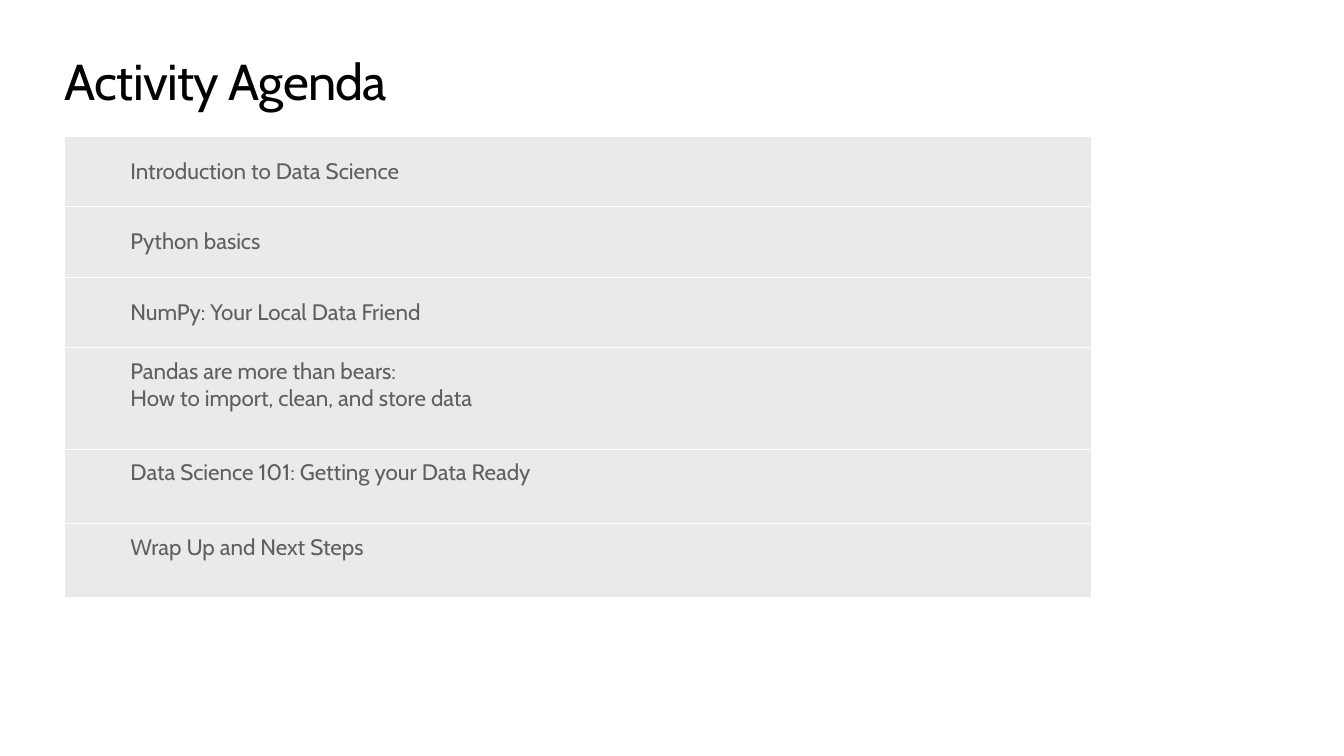
from lxml.etree import SubElement
from pptx import Presentation
from pptx.dml.color import RGBColor
from pptx.enum.text import MSO_ANCHOR
from pptx.oxml.ns import qn
from pptx.util import Pt

FONT = "Cabin"
BLACK = RGBColor(0x00, 0x00, 0x00)
TEXT_GRAY = RGBColor(0x5F, 0x5F, 0x5F)
ROW_GRAY = RGBColor(0xEA, 0xEA, 0xEA)
WHITE = RGBColor(0xFF, 0xFF, 0xFF)

MIDDLE, TOP = MSO_ANCHOR.MIDDLE, MSO_ANCHOR.TOP
# Lines of text, row height in points, vertical anchor
AGENDA = [
    (["Introduction to Data Science"], 50.4, MIDDLE),
    (["Python basics"], 50.4, MIDDLE),
    (["NumPy: Your Local Data Friend"], 50.4, MIDDLE),
    (["Pandas are more than bears:",
      "How to import, clean, and store data"], 72.6, TOP),
    (["Data Science 101: Getting your Data Ready"], 53, TOP),
    (["Wrap Up and Next Steps"], 53, TOP),
]


def add_run(paragraph, text, size, color):
    run = paragraph.add_run()
    run.text = text
    run.font.name = FONT
    run.font.size = Pt(size)
    run.font.color.rgb = color
    return run


def add_title(slide, text, left, top, width, height):
    frame = slide.shapes.add_textbox(Pt(left), Pt(top), Pt(width), Pt(height)).text_frame
    frame.word_wrap = True
    frame.margin_left = frame.margin_right = frame.margin_top = frame.margin_bottom = 0
    run = add_run(frame.paragraphs[0], text, 36, BLACK)
    run.font._element.set("spc", "-50")


def style_cell(cell):
    """Give the cell white rules above and below, open sides and a gray fill."""
    properties = cell._tc.get_or_add_tcPr()
    for side in ("L", "R", "T", "B"):
        line = SubElement(properties, qn(f"a:ln{side}"), w=str(Pt(0.75)))
        if side in "LR":
            SubElement(line, qn("a:noFill"))
        else:
            fill = SubElement(line, qn("a:solidFill"))
            SubElement(fill, qn("a:srgbClr"), val=str(WHITE))
    cell.fill.solid()
    cell.fill.fore_color.rgb = ROW_GRAY


def fill_cell(cell, lines, anchor):
    cell.vertical_anchor = anchor
    cell.margin_left = cell.margin_right = Pt(14.4)
    cell.margin_top = cell.margin_bottom = Pt(7.2)
    frame = cell.text_frame
    for index, line in enumerate(lines):
        paragraph = frame.add_paragraph() if index else frame.paragraphs[0]
        add_run(paragraph, line, 16, TEXT_GRAY)


def add_agenda(slide, left, top, width):
    height = sum(row_height for _, row_height, _ in AGENDA)
    table = slide.shapes.add_table(
        len(AGENDA), 2, Pt(left), Pt(top), Pt(width), Pt(height)).table
    table.first_row = table.horz_banding = False
    marker_width = 32.4
    table.columns[0].width = Pt(marker_width)
    table.columns[1].width = Pt(width - marker_width)
    for row, (lines, row_height, anchor) in zip(table.rows, AGENDA):
        row.height = Pt(row_height)
        for cell in row.cells:
            style_cell(cell)
        fill_cell(row.cells[1], lines, anchor)


def main():
    presentation = Presentation()
    presentation.slide_width = Pt(960)
    presentation.slide_height = Pt(540)
    slide = presentation.slides.add_slide(presentation.slide_layouts[6])
    add_title(slide, "Activity Agenda", left=46.4, top=36, width=867.6, height=44)
    add_agenda(slide, left=46.4, top=97.2, width=732.6)
    presentation.save("out.pptx")


if __name__ == "__main__":
    main()
